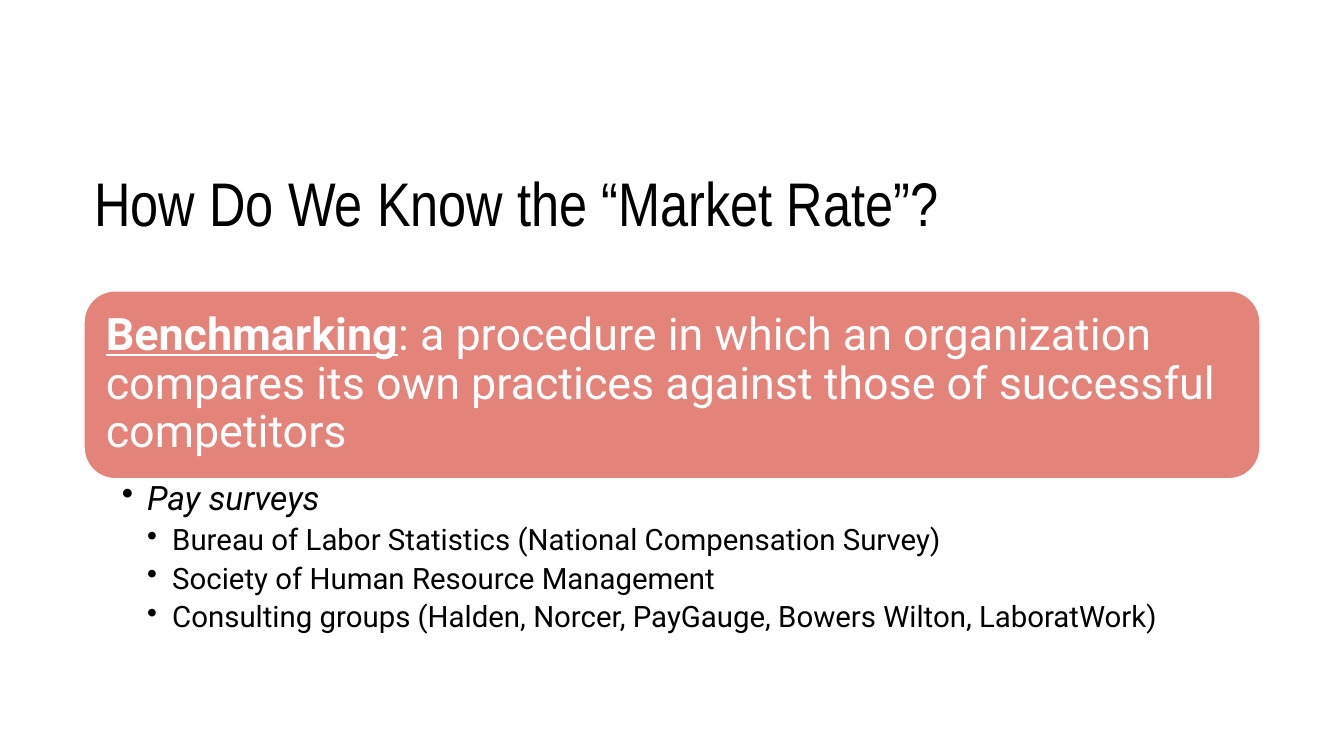
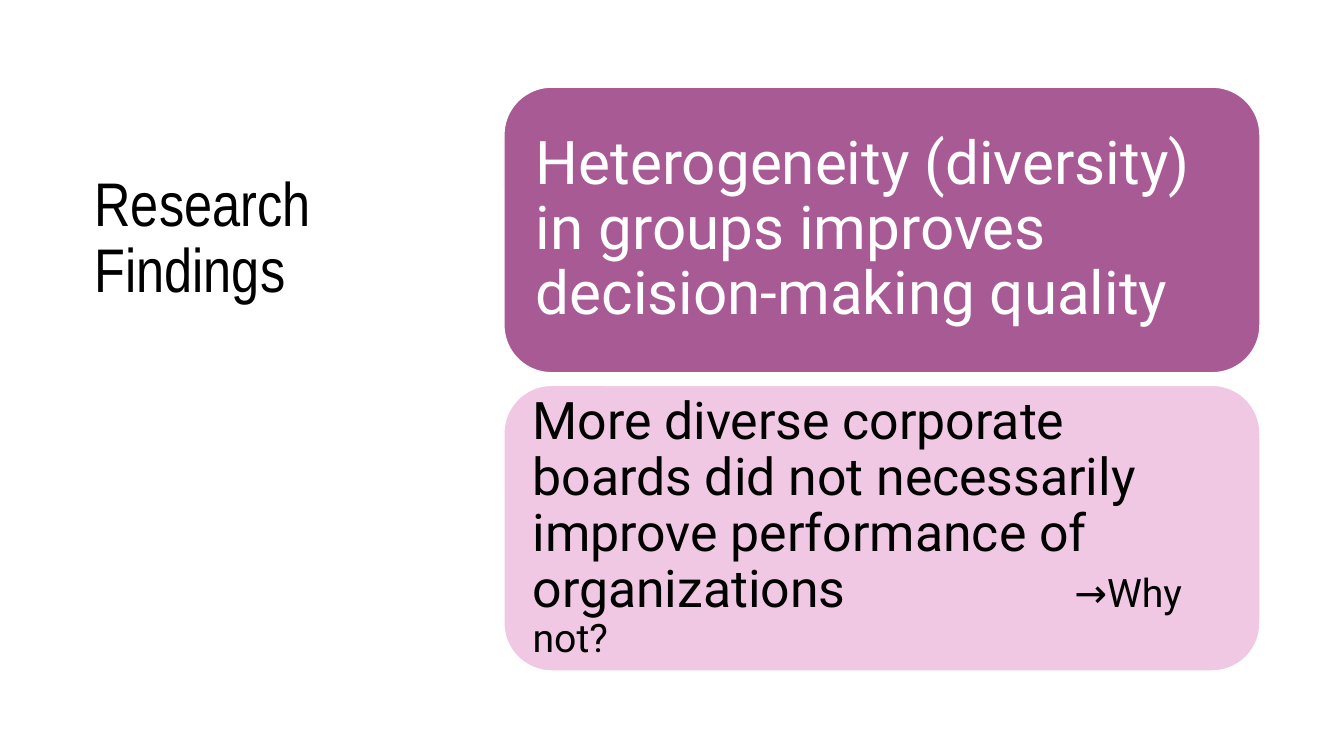
from lxml import etree
from pptx import Presentation
from pptx.dml.color import RGBColor
from pptx.enum.shapes import MSO_SHAPE
from pptx.enum.text import MSO_ANCHOR
from pptx.oxml.ns import qn
from pptx.util import Emu, Pt

ROUNDED = MSO_SHAPE.ROUNDED_RECTANGLE
TOP, MIDDLE = MSO_ANCHOR.TOP, MSO_ANCHOR.MIDDLE
COLORS = {"white": "FFFFFF", "black": "000000", "coral": "E38379",
          "plum": "A85A94", "pink": "F1C8E4"}
TITLE_FONT, BODY_FONT = "Arial Narrow", "Roboto"
LEFT, RIGHT, TITLE_TOP = 80, 1200, 160
INDENT = 24


def px(length):
    """Turn pixels into EMU."""
    return Emu(length * 9525)


def set_values(target, values):
    """Set each attribute named in a dict of format values."""
    for name, value in values.items():
        setattr(target, name, value)


def set_frame(box, margins, anchor=TOP):
    """Give a shape a wrapping text frame with left, top, right and bottom margins."""
    frame = box.text_frame
    sides = ("margin_left", "margin_top", "margin_right", "margin_bottom")
    set_values(frame, {"word_wrap": True, "vertical_anchor": anchor,
                       **dict(zip(sides, map(px, margins)))})
    return frame


def add_span(para, text, size, color="black", font=BODY_FONT, **styles):
    """Add one formatted run."""
    span = para.add_run()
    span.text = text
    set_values(span.font, {"name": font, "size": Pt(size), **styles})
    span.font.color.rgb = RGBColor.from_string(COLORS[color])


def add_title(page, text, width):
    """Add the shared slide title."""
    box = page.shapes.add_textbox(px(LEFT), px(TITLE_TOP), px(width), px(132))
    para = set_frame(box, (10, 5, 10, 5)).paragraphs[0]
    para.line_spacing = 0.9
    add_span(para, text, 44, font=TITLE_FONT)


def add_card(page, left, top, height, fill, margin):
    """Add a rounded card reaching the right margin and return its paragraph."""
    card = page.shapes.add_shape(ROUNDED, px(left), px(top), px(RIGHT - left), px(height))
    card.shadow.inherit = False
    card.fill.solid()
    card.fill.fore_color.rgb = RGBColor.from_string(COLORS[fill])
    card.line.color.rgb = RGBColor.from_string(COLORS["white"])
    card.line.width = Pt(1)
    para = set_frame(card, [margin] * 4, MIDDLE).paragraphs[0]
    set_values(para, {"alignment": 1, "line_spacing": 0.9})
    return para


def add_tab_stop(para, position):
    """Set one left tab stop."""
    stops = etree.SubElement(para._p.get_or_add_pPr(), qn("a:tabLst"))
    etree.SubElement(stops, qn("a:tab"), pos=str(px(position)), algn="l")


def add_bullets(page, top, height, items):
    """Add a bullet list from (level, text, size, italic) items."""
    box = page.shapes.add_textbox(px(LEFT), px(top), px(RIGHT - LEFT), px(height))
    frame = set_frame(box, (36, 3, 18, 3))
    for index, (level, text, size, italic) in enumerate(items):
        para = frame.add_paragraph() if index else frame.paragraphs[0]
        properties = para._p.get_or_add_pPr()
        properties.set("marL", str(px(INDENT * level)))
        properties.set("indent", str(px(-INDENT)))
        etree.SubElement(properties, qn("a:buChar"), char="•")
        set_values(para, {"level": level, "line_spacing": 0.9,
                          "space_after": Pt(round(0.22 * size, 1))})
        add_span(para, text, size, italic=italic)


def build_market_rate(page):
    """Build the benchmarking slide."""
    add_title(page, "How Do We Know the “Market Rate”?", 960)
    para = add_card(page, LEFT, 277, 179, "coral", 12)
    add_span(para, "Benchmarking", 32, "white", bold=True, underline=True)
    add_span(para, ": a procedure in which an organization compares its own "
             "practices against those of successful competitors", 32, "white")
    add_bullets(page, 456, 156, [
        (1, "Pay surveys", 24, True),
        (2, "Bureau of Labor Statistics (National Compensation Survey)", 21, False),
        (2, "Society of Human Resource Management", 21, False),
        (2, "Consulting groups (Halden, Norcer, PayGauge, Bowers Wilton, "
            "LaboratWork)", 21, False),
    ])


def build_findings(page):
    """Build the research findings slide."""
    left, top, height, gap = 480, 83, 272, 12
    add_title(page, "Research Findings", 400)
    para = add_card(page, left, top, height, "plum", 17)
    add_span(para, "Heterogeneity (diversity) in groups improves "
             "decision-making quality", 43, "white")
    para = add_card(page, left, top + height + gap, height, "pink", 14)
    add_tab_stop(para, 516)
    add_span(para, "More diverse corporate boards did not necessarily improve "
             "performance of organizations\t", 37)
    add_span(para, "→Why not?", 28)


def main():
    """Build and save the deck."""
    deck = Presentation()
    set_values(deck, {"slide_width": px(1280), "slide_height": px(720)})
    for build in (build_market_rate, build_findings):
        build(deck.slides.add_slide(deck.slide_layouts[6]))
    deck.save("out.pptx")


if __name__ == "__main__":
    main()
